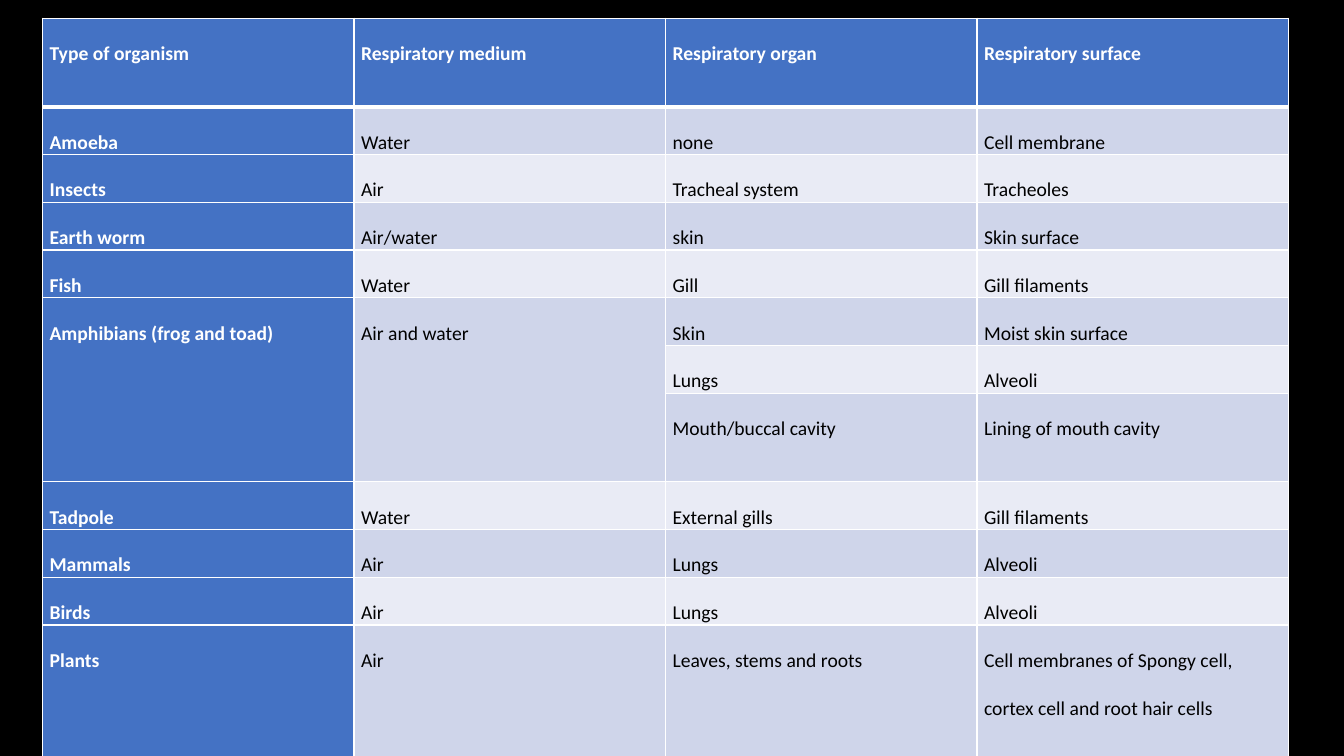
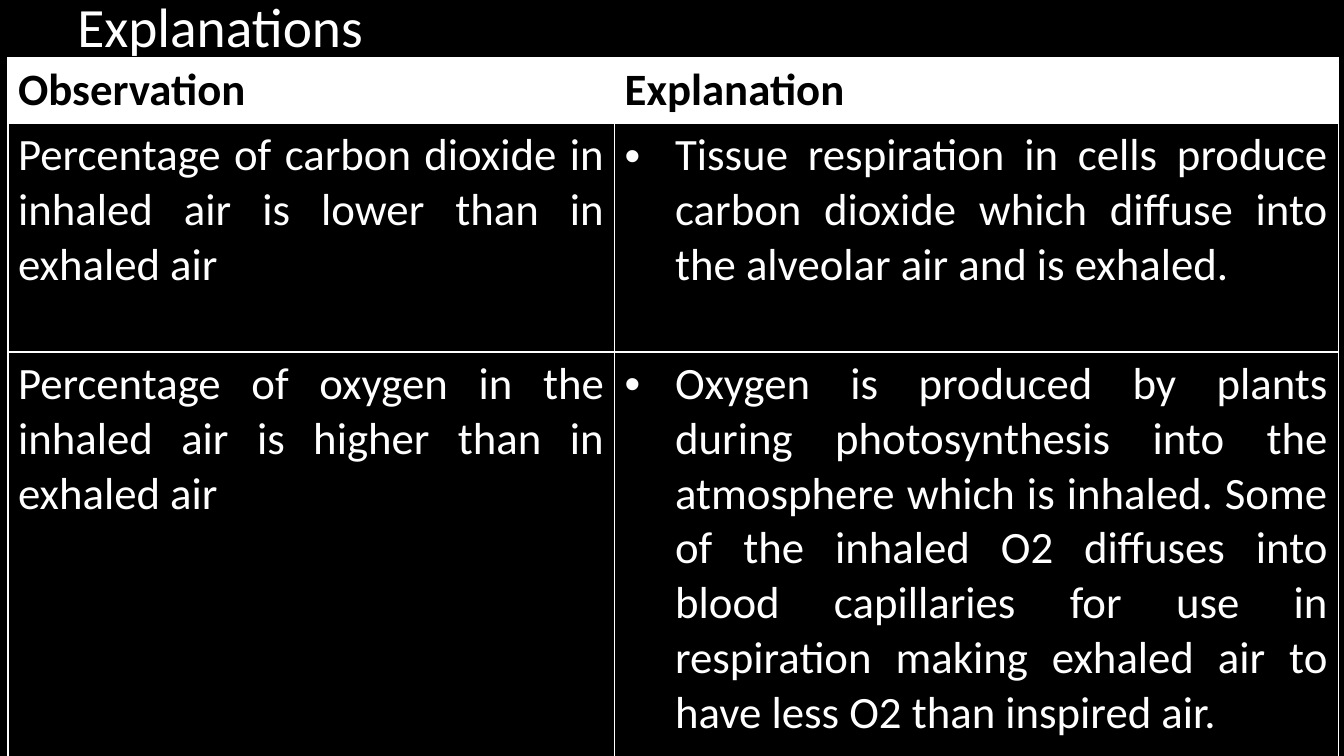
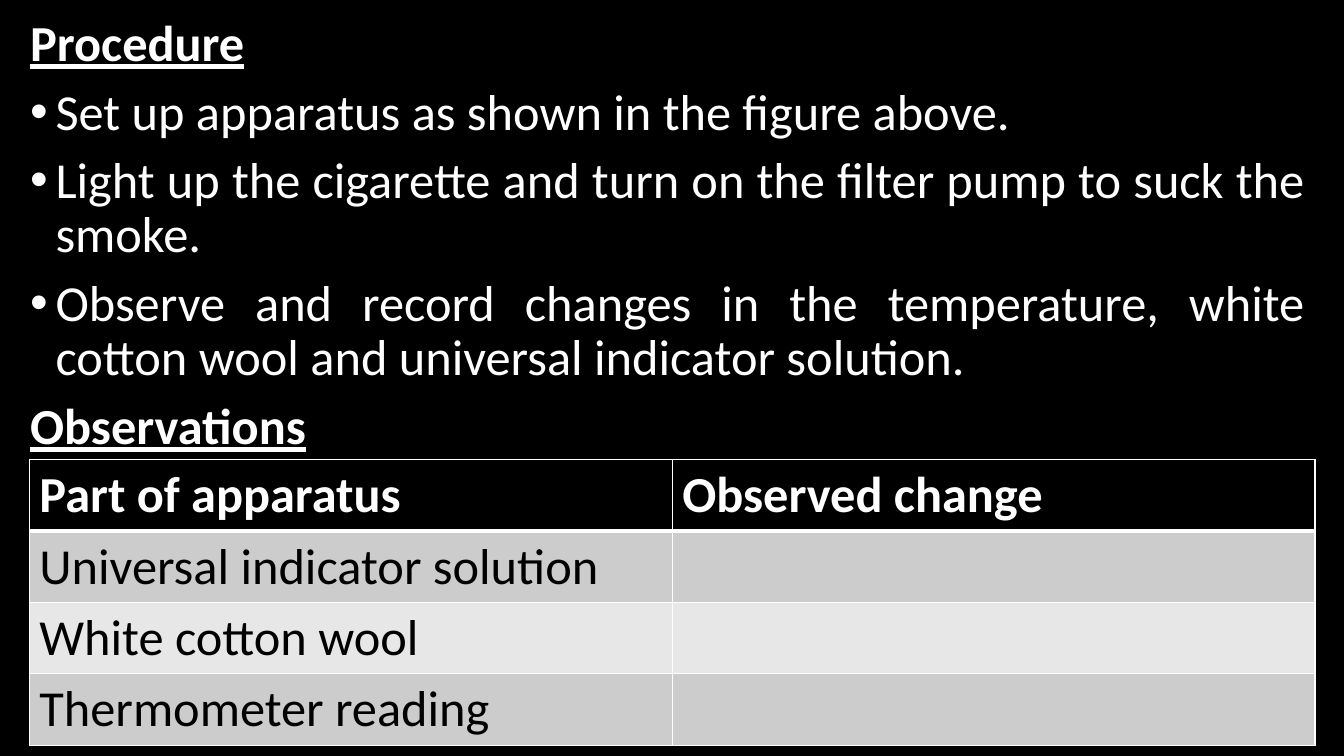
from lxml.etree import SubElement
from pptx import Presentation
from pptx.dml.color import RGBColor
from pptx.enum.text import MSO_ANCHOR, PP_ALIGN
from pptx.oxml.ns import qn
from pptx.util import Cm, Pt

FONT = "Calibri"
BLACK, WHITE, BLUE = "000000", "FFFFFF", "4472C4"
BLUE_BANDS = ("CFD5EA", "E9EBF5")
GREY_BANDS = ("CCCCCC", "E7E7E7")
THIN, THICK = 1, 3

ORGANISMS = [
    ("Type of organism", "Respiratory medium", "Respiratory organ", "Respiratory surface"),
    ("Amoeba", "Water", "none", "Cell membrane"),
    ("Insects", "Air", "Tracheal system", "Tracheoles"),
    ("Earth worm", "Air/water", "skin", "Skin surface"),
    ("Fish", "Water", "Gill", "Gill filaments"),
    ("Amphibians (frog and toad)", "Air and water", "Skin", "Moist skin surface"),
    ("", "", "Lungs", "Alveoli"),
    ("", "", "Mouth/buccal cavity", "Lining of mouth cavity"),
    ("Tadpole", "Water", "External gills", "Gill filaments"),
    ("Mammals", "Air", "Lungs", "Alveoli"),
    ("Birds", "Air", "Lungs", "Alveoli"),
    ("Plants", "Air", "Leaves, stems and roots",
     "Cell membranes of Spongy cell, cortex cell and root hair cells"),
]
AMPHIBIAN_ROWS = (5, 7)
ORGANISM_HEIGHTS = [2.23] + [1.2] * 6 + [2.23] + [1.2] * 3 + [3.43]

EXPLANATIONS = [
    ("Observation", "Explanation"),
    ("Percentage of carbon dioxide in inhaled air is lower than in exhaled air",
     "Tissue respiration in cells produce carbon dioxide which diffuse into the "
     "alveolar air and is exhaled."),
    ("Percentage of oxygen in the inhaled air is higher than in exhaled air",
     "Oxygen is produced by plants during photosynthesis into the atmosphere which is "
     "inhaled. Some of the inhaled O2 diffuses into blood capillaries for use in "
     "respiration making exhaled air to have less O2 than inspired air."),
]

PROCEDURE = [
    ("heading", "Procedure"),
    ("step", "Set up apparatus as shown in the figure above."),
    ("step", "Light up the cigarette and turn on the filter pump to suck the smoke."),
    ("step", "Observe and record changes in the temperature, white cotton wool and "
             "universal indicator solution."),
    ("heading", "Observations"),
]
APPARATUS = [
    ("Part of apparatus", "Observed change"),
    ("Universal indicator solution", ""),
    ("White cotton wool", ""),
    ("Thermometer reading", ""),
]


def color(value):
    return RGBColor.from_string(value)


def add_slide(presentation):
    slide = presentation.slides.add_slide(presentation.slide_layouts[6])
    slide.background.fill.solid()
    slide.background.fill.fore_color.rgb = color(BLACK)
    return slide


def style_runs(paragraph, size, text_color, bold=False, underline=False):
    for run in paragraph.runs:
        font = run.font
        font.name, font.size = FONT, Pt(size)
        font.bold, font.underline = bold, underline
        font.color.rgb = color(text_color)


def add_bullet(paragraph, indent):
    properties = paragraph._p.get_or_add_pPr()
    properties.set("marL", str(Cm(indent)))
    properties.set("indent", str(-Cm(indent)))
    SubElement(properties, qn("a:buFont"), typeface="Arial")
    SubElement(properties, qn("a:buChar"), char="•")


def set_borders(cell, top, bottom):
    """Draw white cell edges; top and bottom are widths in points."""
    properties = cell._tc.get_or_add_tcPr()
    for side, width in (("L", THIN), ("R", THIN), ("T", top), ("B", bottom)):
        line = SubElement(properties, qn(f"a:ln{side}"), w=str(Pt(width)))
        fill = SubElement(line, qn("a:solidFill"))
        SubElement(fill, qn("a:srgbClr"), val=WHITE)


def add_table(slide, rows, left, top, widths, heights, size, cell_colors, header_line=THIN):
    """Add a table; cell_colors(row, column) returns the fill and text colours."""
    table = slide.shapes.add_table(len(rows), len(widths), Cm(left), Cm(top),
                                   Cm(sum(widths)), Cm(sum(heights))).table
    table.first_row = table.horz_banding = False
    for column, width in zip(table.columns, widths):
        column.width = Cm(width)
    for r, (texts, height) in enumerate(zip(rows, heights)):
        table.rows[r].height = Cm(height)
        for c, text in enumerate(texts):
            cell = table.cell(r, c)
            set_borders(cell, header_line if r == 1 else THIN,
                        header_line if r == 0 else THIN)
            fill_color, text_color = cell_colors(r, c)
            cell.fill.solid()
            cell.fill.fore_color.rgb = color(fill_color)
            cell.text_frame.text = text
            style_runs(cell.text_frame.paragraphs[0], size, text_color, bold=r == 0)
    return table


def add_text_box(slide, left, top, width, height):
    text_frame = slide.shapes.add_textbox(Cm(left), Cm(top), Cm(width), Cm(height)).text_frame
    text_frame.word_wrap = True
    return text_frame


def build_organisms(presentation):
    def colors(r, c):
        if r == 0 or c == 0:
            return BLUE, WHITE
        return BLUE_BANDS[(r - 1) % 2], BLACK

    table = add_table(add_slide(presentation), ORGANISMS, 1.07, 0.46, [7.85] * 4,
                      ORGANISM_HEIGHTS, 14, colors, THICK)
    for r in range(len(ORGANISMS)):
        for c, cell in enumerate(table.rows[r].cells):
            cell.margin_left = cell.margin_right = Cm(0.18)
            cell.margin_top = cell.margin_bottom = 0
            paragraph = cell.text_frame.paragraphs[0]
            paragraph.line_spacing = 2.0
            paragraph.space_after = Pt(10)
            for run in paragraph.runs:
                run.font.bold = r == 0 or c == 0
    first, last = AMPHIBIAN_ROWS
    for c in range(2):
        table.cell(first, c).merge(table.cell(last, c))


def build_explanations(presentation):
    slide = add_slide(presentation)
    title = add_text_box(slide, 1.7, -0.2, 29.21, 1.88)
    title.vertical_anchor = MSO_ANCHOR.MIDDLE
    title.text = "Explanations"
    title.paragraphs[0].line_spacing = 0.9
    style_runs(title.paragraphs[0], 39.6, WHITE)

    table = add_table(slide, EXPLANATIONS, 0.2, 1.45, [15.29, 18.24], [1.65, 5.77, 10.95], 32,
                      lambda r, c: (WHITE, BLACK) if r == 0 else (BLACK, WHITE))
    for r in range(len(EXPLANATIONS)):
        for c, cell in enumerate(table.rows[r].cells):
            paragraph = cell.text_frame.paragraphs[0]
            paragraph.alignment = PP_ALIGN.JUSTIFY
            if r and c:
                add_bullet(paragraph, 1.27)


def build_procedure(presentation):
    slide = add_slide(presentation)
    text_frame = add_text_box(slide, 0.51, 0.33, 32.64, 12.09)
    text_frame.text = "\n".join(text for _, text in PROCEDURE)
    for i, (kind, _) in enumerate(PROCEDURE):
        paragraph = text_frame.paragraphs[i]
        is_heading = kind == "heading"
        if not is_heading:
            add_bullet(paragraph, 0.64)
        paragraph.alignment = PP_ALIGN.JUSTIFY
        paragraph.line_spacing = 0.9
        if i:
            paragraph.space_before = Pt(10)
        style_runs(paragraph, 36, WHITE, bold=is_heading, underline=is_heading)

    add_table(slide, APPARATUS, 0.74, 11.58, [16.2] * 2, [1.8] * 4, 36,
              lambda r, c: (GREY_BANDS[(r - 1) % 2], BLACK) if r else (BLACK, WHITE), THICK)


def main():
    presentation = Presentation()
    presentation.slide_width, presentation.slide_height = Cm(33.87), Cm(19.05)
    build_organisms(presentation)
    build_explanations(presentation)
    build_procedure(presentation)
    presentation.save("out.pptx")


if __name__ == "__main__":
    main()
